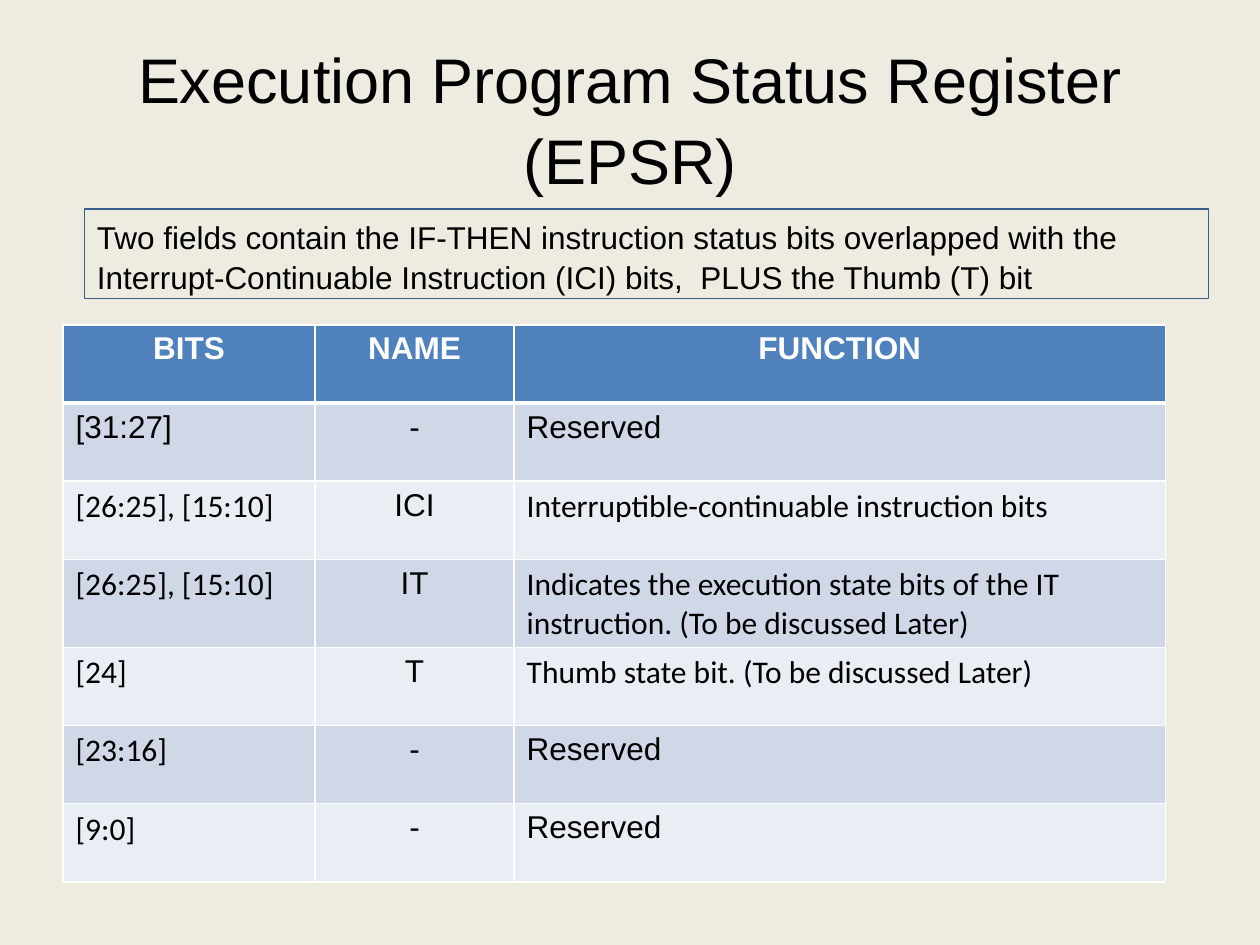
from lxml import etree
from pptx import Presentation
from pptx.dml.color import RGBColor
from pptx.enum.shapes import MSO_SHAPE
from pptx.enum.text import MSO_ANCHOR, PP_ALIGN
from pptx.oxml.ns import qn
from pptx.util import Inches, Pt

BACKGROUND = RGBColor(0xEE, 0xEC, 0xE1)
BLACK = RGBColor(0, 0, 0)
WHITE = RGBColor(0xFF, 0xFF, 0xFF)
OUTLINE = RGBColor(0x3A, 0x5F, 0x8C)
HEADER_FILL = RGBColor(0x4F, 0x81, 0xBD)
BAND_FILLS = [RGBColor(0xD0, 0xD8, 0xE8), RGBColor(0xE9, 0xED, 0xF4)]


def write_text(frame, text, size=18, font="Arial", color=BLACK, bold=False,
               align=PP_ALIGN.LEFT, spacing=None):
    """Fill a text frame, with one paragraph for each line of text."""
    frame.word_wrap = True
    for index, line in enumerate(text.split("\n")):
        paragraph = frame.add_paragraph() if index else frame.paragraphs[0]
        paragraph.alignment = align
        paragraph.line_spacing = spacing
        run = paragraph.add_run()
        run.text = line
        run.font.size = Pt(size)
        run.font.name = font
        run.font.bold = bold
        run.font.color.rgb = color


def set_borders(cell, bottom_width):
    """Draw white cell borders, 1 pt wide except for the bottom one."""
    properties = cell._tc.get_or_add_tcPr()
    widths = {"a:lnL": 1, "a:lnR": 1, "a:lnT": 1, "a:lnB": bottom_width}
    for position, (tag, width) in enumerate(widths.items()):
        border = etree.Element(qn(tag), w=str(Pt(width)))
        fill = etree.SubElement(border, qn("a:solidFill"))
        etree.SubElement(fill, qn("a:srgbClr"), val=str(WHITE))
        properties.insert(position, border)


presentation = Presentation()
presentation.slide_width = Inches(10)
presentation.slide_height = Inches(7.5)
slide = presentation.slides.add_slide(presentation.slide_layouts[6])
slide.background.fill.solid()
slide.background.fill.fore_color.rgb = BACKGROUND

# Summary box
summary = slide.shapes.add_shape(
    MSO_SHAPE.RECTANGLE, Inches(0.67), Inches(1.66), Inches(8.92), Inches(0.71))
summary.shadow.inherit = False
summary.fill.background()
summary.line.color.rgb = OUTLINE
summary.line.width = Pt(0.75)
summary.text_frame.vertical_anchor = MSO_ANCHOR.TOP
write_text(summary.text_frame,
           "Two fields contain the IF-THEN instruction status bits overlapped with the\n"
           "Interrupt-Continuable Instruction (ICI) bits,  PLUS the Thumb (T) bit",
           spacing=1.06)

# Title
title = slide.shapes.add_textbox(Inches(0.5), Inches(0.23), Inches(9), Inches(1.27))
title.text_frame.vertical_anchor = MSO_ANCHOR.MIDDLE
title.text_frame.margin_top = Inches(0.12)
title.text_frame.margin_bottom = 0
write_text(title.text_frame, "Execution Program Status Register (EPSR)",
           size=36, align=PP_ALIGN.CENTER, spacing=1.06)

# Register table: text and font of each cell
COLUMN_WIDTHS = [2, 1.58, 5.17]
ROWS = [
    [("BITS", "Arial"), ("NAME", "Arial"), ("FUNCTION", "Arial")],
    [("[31:27]", "Arial"), ("-", "Arial"), ("Reserved", "Arial")],
    [("[26:25], [15:10]", "Calibri"), ("ICI", "Arial"),
     ("Interruptible-continuable instruction bits", "Calibri")],
    [("[26:25], [15:10]", "Calibri"), ("IT", "Arial"),
     ("Indicates the execution state bits of the IT instruction. "
      "(To be discussed Later)", "Calibri")],
    [("[24]", "Calibri"), ("T", "Arial"),
     ("Thumb state bit. (To be discussed Later)", "Calibri")],
    [("[23:16]", "Calibri"), ("-", "Arial"), ("Reserved", "Arial")],
    [("[9:0]", "Calibri"), ("-", "Arial"), ("Reserved", "Arial")],
]
table = slide.shapes.add_table(
    len(ROWS), len(COLUMN_WIDTHS), Inches(0.5), Inches(2.58),
    Inches(sum(COLUMN_WIDTHS)), Inches(0.62 * len(ROWS))).table
for column, width in zip(table.columns, COLUMN_WIDTHS):
    column.width = Inches(width)

for row_index, row in enumerate(ROWS):
    is_header = row_index == 0
    table.rows[row_index].height = Inches(0.62)
    for column_index, (text, font) in enumerate(row):
        cell = table.cell(row_index, column_index)
        centered = is_header or column_index == 1
        cell.fill.solid()
        cell.fill.fore_color.rgb = (
            HEADER_FILL if is_header else BAND_FILLS[(row_index - 1) % 2])
        set_borders(cell, bottom_width=3 if is_header else 1)
        write_text(cell.text_frame, text, font=font, bold=is_header,
                   color=WHITE if is_header else BLACK,
                   align=PP_ALIGN.CENTER if centered else PP_ALIGN.LEFT)

presentation.save("out.pptx")
